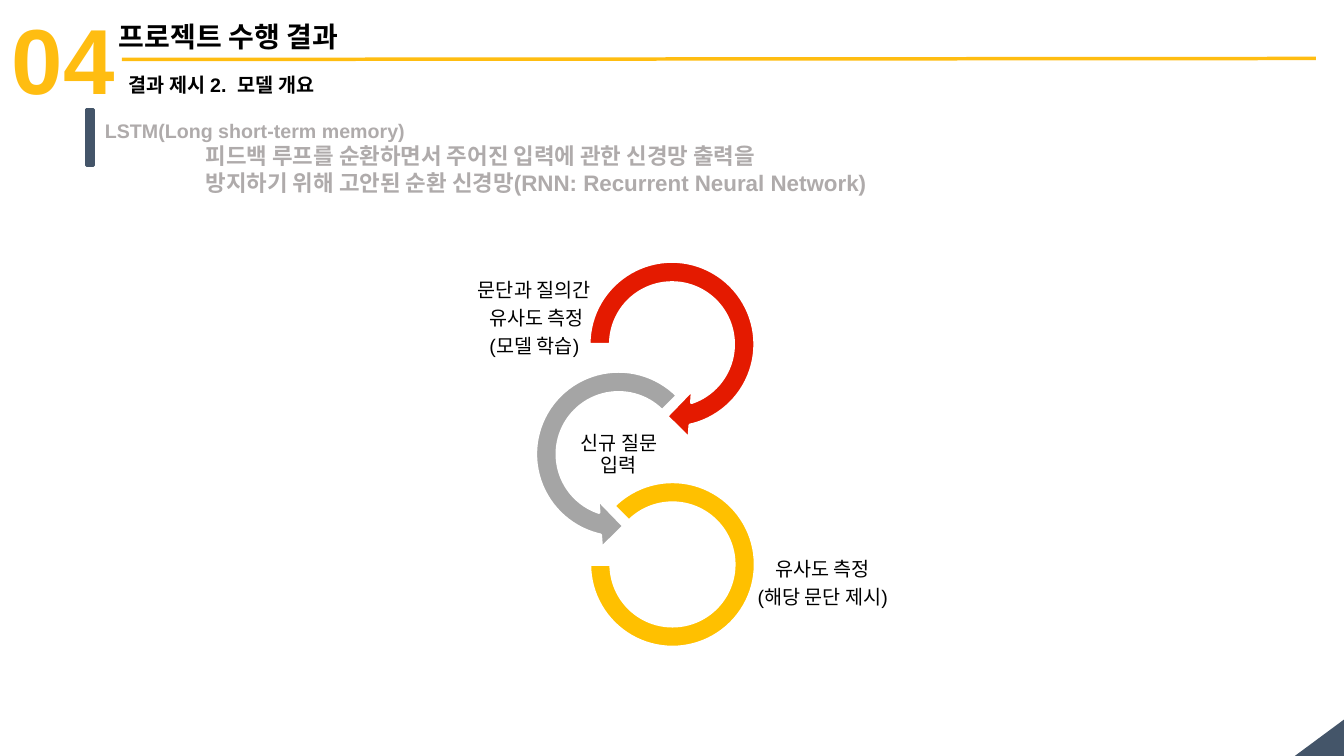
from dataclasses import dataclass

from pptx import Presentation
from pptx.dml.color import RGBColor
from pptx.enum import shapes, text
from pptx.oxml import xmlchemy
from pptx.util import Inches, Pt

FONT = "Arial"
AMBER = RGBColor(0xFF, 0xBD, 0x11)
GOLD = RGBColor(0xFF, 0xC0, 0x00)
RED = RGBColor(0xE4, 0x1A, 0x00)
GRAY = RGBColor(0xA5, 0xA5, 0xA5)
TEXT_GRAY = RGBColor(0xAF, 0xAB, 0xAB)
NAVY = RGBColor(0x44, 0x55, 0x69)
BLACK = RGBColor(0x00, 0x00, 0x00)
WHITE = RGBColor(0xFF, 0xFF, 0xFF)
Box = tuple[float, float, float, float]


@dataclass
class Line:
    words: str
    size: int
    color: RGBColor = BLACK
    bold: bool = True
    indent: float = 0


@dataclass
class Figure:
    kind: shapes.MSO_SHAPE
    box: Box
    fill: RGBColor
    outline: RGBColor | None = None
    adjustments: tuple[float, ...] = ()
    rotation: float = 0


@dataclass
class StepLabel:
    box: Box
    lines: tuple[str, ...]


def place(shape, box: Box) -> None:
    shape.left, shape.top, shape.width, shape.height = map(Inches, box)


def write(shape, lines: list[Line], step: bool = False) -> None:
    """Fill a text shape; step labels are centred with tight lines."""
    frame = shape.text_frame
    frame.word_wrap = True
    frame.auto_size = text.MSO_AUTO_SIZE.NONE
    frame.vertical_anchor = text.MSO_ANCHOR.MIDDLE if step else text.MSO_ANCHOR.TOP
    if step:
        frame.margin_left = frame.margin_right = Inches(0.01)
        frame.margin_top = frame.margin_bottom = Inches(0.01)
    for index, line in enumerate(lines):
        paragraph = frame.add_paragraph() if index else frame.paragraphs[0]
        properties = paragraph._p.get_or_add_pPr()
        properties.set("marL", str(Inches(line.indent)))
        properties.set("indent", "0")
        properties.append(xmlchemy.OxmlElement("a:buNone"))
        paragraph.alignment = text.PP_ALIGN.CENTER if step else text.PP_ALIGN.LEFT
        paragraph.space_before = Pt(0)
        paragraph.space_after = Pt(5 if step else 0)
        paragraph.line_spacing = 0.9 if step else 1.0
        run = paragraph.add_run()
        run.text = line.words
        run.font.name = FONT
        run.font.size = Pt(line.size)
        run.font.bold = line.bold
        run.font.color.rgb = line.color


def add_text(slide, box: Box, lines: list[Line], step: bool = False) -> None:
    write(slide.shapes.add_textbox(*map(Inches, box)), lines, step)


def add_figure(slide, figure: Figure) -> None:
    shape = slide.shapes.add_shape(figure.kind, *map(Inches, figure.box))
    shape.shadow.inherit = False
    shape.rotation = figure.rotation
    for index, value in enumerate(figure.adjustments):
        shape.adjustments[index] = value
    shape.fill.solid()
    shape.fill.fore_color.rgb = figure.fill
    if figure.outline is None:
        shape.line.fill.background()
    else:
        shape.line.color.rgb = figure.outline
        shape.line.width = Pt(2)


def add_rule(slide) -> None:
    rule = slide.shapes.add_connector(
        shapes.MSO_CONNECTOR.STRAIGHT,
        Inches(1.21), Inches(0.59), Inches(13.05), Inches(0.58))
    rule.line.color.rgb = AMBER
    rule.line.width = Pt(2.5)
    rule._element.spPr.append(xmlchemy.OxmlElement("a:effectLst"))


DECORATIONS = [
    Figure(shapes.MSO_SHAPE.RIGHT_TRIANGLE, (12.9, 7.07, 0.37, 0.5), NAVY, rotation=270),
    Figure(shapes.MSO_SHAPE.RECTANGLE, (0.86, 1.09, 0.07, 0.55), NAVY, NAVY),
]
# Angles are in units of 5/3 degree
CYCLE = [
    Figure(shapes.MSO_SHAPE.CIRCULAR_ARROW, (5.71, 2.46, 1.91, 1.91), RED, WHITE,
           (0.11, 11.42, 45, 108, 0.125)),
    Figure(shapes.MSO_SHAPE.LEFT_CIRCULAR_ARROW, (5.18, 3.55, 1.91, 1.91), GRAY, WHITE,
           (0.11, 11.42, 63, 189, 0.125)),
    Figure(shapes.MSO_SHAPE.BLOCK_ARC, (5.85, 4.78, 1.64, 1.64), GOLD, WHITE,
           (135, 108, 0.127)),
]
STEP_LABELS = [
    StepLabel((3.79, 2.9, 3.02, 0.53), ("문단과 질의간", " 유사도 측정", "(모델 학습)")),
    StepLabel((5.61, 4.25, 1.06, 0.53), ("신규 질문 입력",)),
    StepLabel((7.02, 5.53, 2.28, 0.53), ("유사도 측정", "(해당 문단 제시)")),
]


def main() -> None:
    presentation = Presentation()
    presentation.slide_width = Inches(13.33)
    presentation.slide_height = Inches(7.5)
    slide = presentation.slides.add_slide(presentation.slide_layouts[1])

    # Heading
    title, body = slide.placeholders
    place(title, (1.08, 0.14, 4.2, 0.44))
    write(title, [Line("프로젝트 수행 결과", 20)])
    add_text(slide, (0.02, -0.03, 1.27, 1.21), [Line("04", 66, AMBER)])
    add_rule(slide)
    add_text(slide, (1.18, 0.67, 3.54, 0.34), [Line("결과 제시 2.  모델 개요", 14)])

    # Model description
    place(body, (0.94, 1.13, 9.03, 1.68))
    write(body, [
        Line("LSTM(Long short-term memory)", 14, TEXT_GRAY),
        Line("피드백 루프를 순환하면서 주어진 입력에 관한 신경망 출력을", 16, TEXT_GRAY, indent=1),
        Line("방지하기 위해 고안된 순환 신경망(RNN: Recurrent Neural Network)", 16, TEXT_GRAY,
             indent=1),
    ])

    # Decorations and cycle diagram
    for figure in DECORATIONS + CYCLE:
        add_figure(slide, figure)
    for label in STEP_LABELS:
        add_text(slide, label.box,
                 [Line(words, 14, bold=False) for words in label.lines], step=True)

    presentation.save("out.pptx")


if __name__ == "__main__":
    main()
